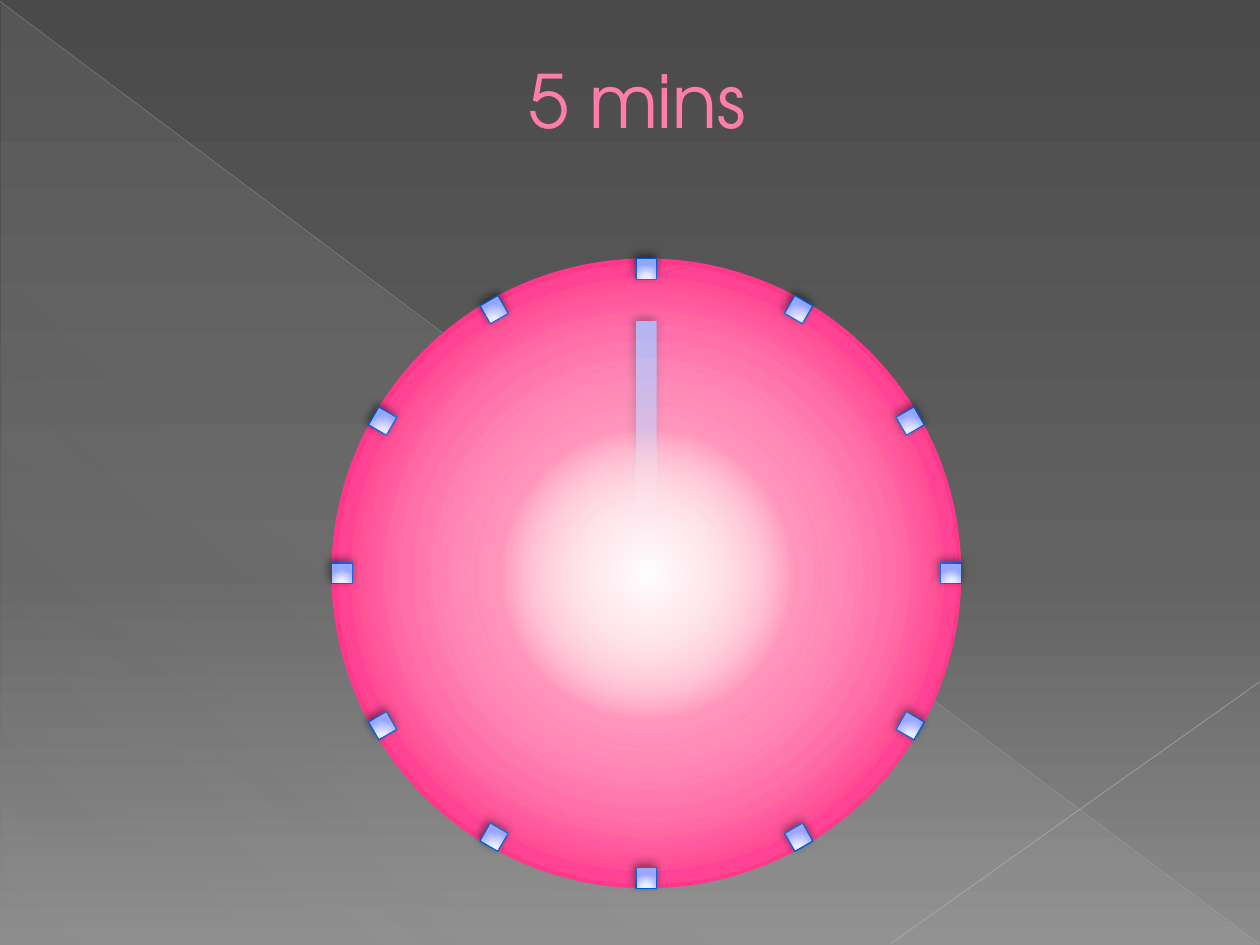
"""Build a five-minute countdown clock slide."""
from math import cos, radians, sin

from lxml import etree
from pptx import Presentation
from pptx.dml.color import RGBColor
from pptx.enum.shapes import MSO_CONNECTOR, MSO_SHAPE
from pptx.enum.text import MSO_ANCHOR, PP_ALIGN
from pptx.oxml import parse_xml
from pptx.oxml.ns import nsdecls, qn
from pptx.util import Cm, Pt

OVAL, RECTANGLE = MSO_SHAPE.OVAL, MSO_SHAPE.RECTANGLE
RIGHT_TRIANGLE = MSO_SHAPE.RIGHT_TRIANGLE
STRAIGHT = MSO_CONNECTOR.STRAIGHT
TOP, LEFT = MSO_ANCHOR.TOP, PP_ALIGN.LEFT

FONT = "TeX Gyre Adventor"
TITLE_PINK = RGBColor(0xFF, 0x7D, 0xA7)
TITLE_EDGE = RGBColor(0xB1, 0x27, 0x61)
CLOCK_PINK = RGBColor(0xFF, 0x38, 0x8C)
TICK_EDGE = RGBColor(0x00, 0x5B, 0xD3)
GRAY_DARK = RGBColor(0x4A, 0x4A, 0x4A)
GRAY_MIDDLE = RGBColor(0x62, 0x62, 0x62)
GRAY_LIGHT = RGBColor(0x8C, 0x8C, 0x8C)
VEIL = RGBColor(0xD2, 0xD2, 0xD2)
FALLING_GRAY = RGBColor(0xBF, 0xBF, 0xBF)
RISING_GRAY = RGBColor(0xC6, 0xC6, 0xC6)
WHITE = RGBColor(0xFF, 0xFF, 0xFF)
GLOW_MIDDLE = RGBColor(0xFF, 0xC7, 0xD6)
GLOW_EDGE = RGBColor(0xFF, 0xE4, 0xEA)
BLUE_PALE = RGBColor(0xF0, 0xF2, 0xFF)
BLUE_SOFT = RGBColor(0xEA, 0xED, 0xFF)
BLUE = RGBColor(0x92, 0xA5, 0xFF)

BACKDROP_STOPS = [(0, GRAY_DARK, 100), (60, GRAY_MIDDLE, 100), (100, GRAY_LIGHT, 100)]
VEIL_STOPS = [(0, VEIL, 10), (70, VEIL, 8), (100, VEIL, 1)]
BLUE_STOPS = [(0, BLUE_PALE, 100), (34, BLUE_SOFT, 100), (100, BLUE, 100)]
GLOW_STOPS = [(0, WHITE, 100), (33, GLOW_MIDDLE, 19), (70, GLOW_EDGE, 0)]


def set_gradient(fill, element, stops, angle=None, focus=50):
    """Fill with a linear gradient at an angle, or a circular one around a focus."""
    fill.gradient()
    gradient = next(element.iter(qn("a:gradFill")))
    stop_xml = "".join(
        f'<a:gs pos="{position * 1000}"><a:srgbClr val="{color}">'
        f'<a:alpha val="{alpha * 1000}"/></a:srgbClr></a:gs>'
        for position, color, alpha in stops)
    if angle is None:
        direction = (f'<a:path path="circle"><a:fillToRect l="50000" t="{focus * 1000}" '
                     f'r="50000" b="{(100 - focus) * 1000}"/></a:path>')
    else:
        direction = f'<a:lin ang="{angle * 60000}" scaled="0"/>'
    gradient.getparent().replace(gradient, parse_xml(
        f'<a:gradFill {nsdecls("a")} rotWithShape="0">'
        f'<a:gsLst>{stop_xml}</a:gsLst>{direction}</a:gradFill>'))


def write_text(shape, text, *, size, color, edge, indent):
    """Write one outlined, left-aligned line of text."""
    frame = shape.text_frame
    frame.word_wrap = True
    frame.vertical_anchor = TOP
    paragraph = frame.paragraphs[0]
    paragraph.alignment = LEFT
    properties = paragraph._p.get_or_add_pPr()
    properties.set("marL", str(indent))
    properties.set("indent", "0")
    run = paragraph.add_run()
    run.text = text
    run.font.name, run.font.size = FONT, size
    run.font.fill.solid()
    run.font.fill.fore_color.rgb = color
    run._r.get_or_add_rPr().insert(0, parse_xml(
        f'<a:ln {nsdecls("a")} w="{Pt(0.5)}"><a:solidFill>'
        f'<a:srgbClr val="{edge}"/></a:solidFill></a:ln>'))


presentation = Presentation()
presentation.slide_width, presentation.slide_height = Cm(25.4), Cm(19.05)
slide = presentation.slides.add_slide(presentation.slide_layouts[5])
set_gradient(slide.background.fill, slide._element, BACKDROP_STOPS, angle=90)

center_x, center_y, radius, tick = 13.03, 11.56, 6.35, 0.42
orbit = radius - tick / 2
clock_box = (center_x - radius, center_y - radius, 2 * radius, 2 * radius)
hand_box = (center_x - tick / 2, 6.48, tick, 5.08)
blue_style = {"stops": BLUE_STOPS, "focus": 155}

parts = [(RIGHT_TRIANGLE, (0.03, 0.05, 25.35, 19), 0, {"stops": VEIL_STOPS, "angle": 133}),
         (OVAL, clock_box, 0, None)]
for angle in range(0, 360, 30):
    left = center_x + orbit * sin(radians(angle)) - tick / 2
    top = center_y - orbit * cos(radians(angle)) - tick / 2
    parts.append((RECTANGLE, (left, top, tick, tick), angle % 180, blue_style))
parts.append((RECTANGLE, hand_box, 0, blue_style))
parts += [(OVAL, clock_box, 0, {"stops": GLOW_STOPS})] * 5

for preset, box, rotation, gradient_style in parts:
    shape = slide.shapes.add_shape(preset, *(Cm(length) for length in box))
    shape.rotation = rotation
    shape.shadow.inherit = False
    if gradient_style:
        set_gradient(shape.fill, shape._element, **gradient_style)
    else:
        shape.fill.solid()
        shape.fill.fore_color.rgb = CLOCK_PINK
    if preset == RECTANGLE and box != hand_box:
        shape.line.color.rgb = TICK_EDGE
        shape.line.width = Pt(0.75)
    else:
        shape.line.fill.background()
    if preset == RECTANGLE:
        shape._element.spPr.find(qn("a:effectLst")).append(parse_xml(
            f'<a:outerShdw {nsdecls("a")} blurRad="{Pt(5)}" dist="{Pt(2)}" '
            f'dir="{245 * 60000}" rotWithShape="0"><a:srgbClr val="000000">'
            '<a:alpha val="50000"/></a:srgbClr></a:outerShdw>'))
    if preset == RIGHT_TRIANGLE:
        for ends, color, width, alpha in [
                ((0, 0.03, 25.37, 19.02), FALLING_GRAY, 0.39, 35),
                ((25.4, 13.74, 17.96, 19.02), RISING_GRAY, 0.47, 45)]:
            line = slide.shapes.add_connector(STRAIGHT, *(Cm(length) for length in ends))
            line.line.color.rgb = color
            line.line.width = Pt(width)
            color_element = next(line._element.spPr.iter(qn("a:srgbClr")))
            etree.SubElement(color_element, qn("a:alpha"), val=str(alpha * 1000))
            etree.SubElement(line._element.spPr, qn("a:effectLst"))

title = slide.shapes.title
title.left, title.top, title.width, title.height = Cm(9.04), Cm(0.99), Cm(8.41), Cm(2.9)
write_text(title, "5 mins", size=Pt(42), color=TITLE_PINK, edge=TITLE_EDGE, indent=Cm(1.35))
slide.shapes._spTree.append(title._element)

presentation.save("out.pptx")
